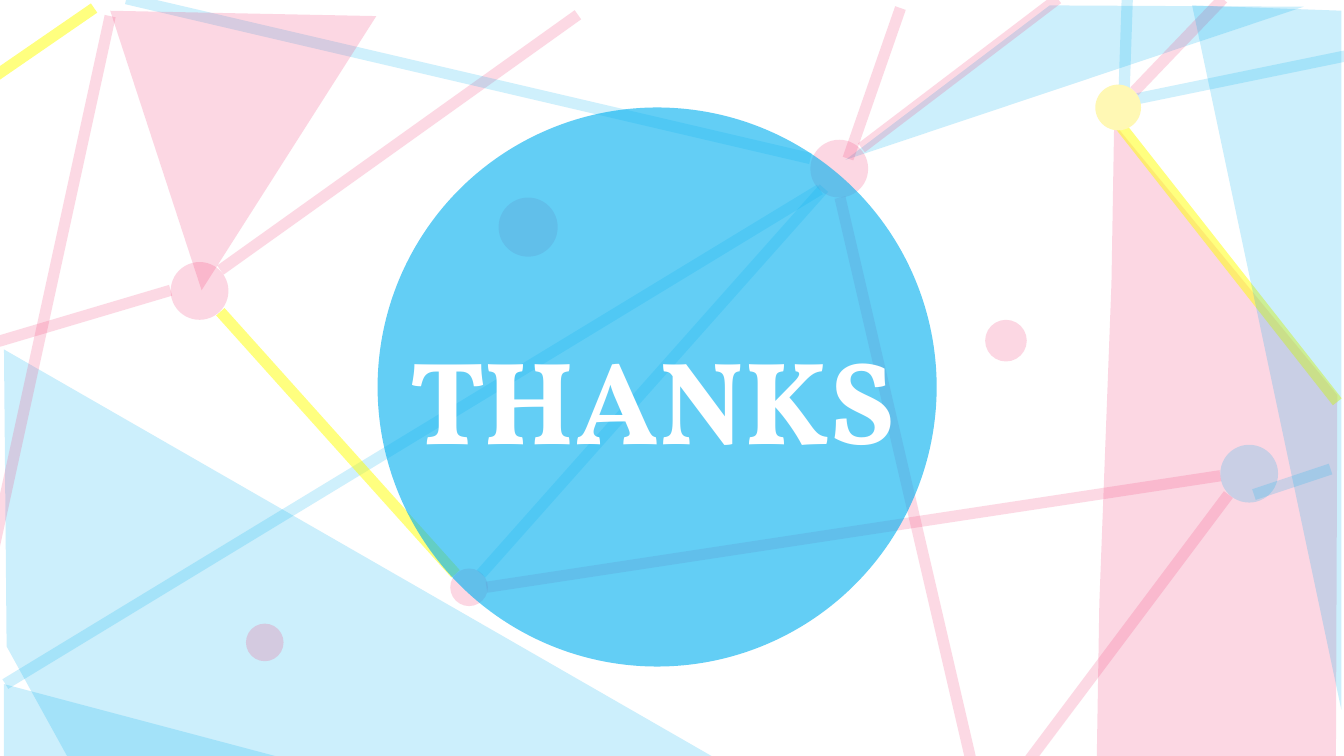
from pptx import Presentation
from pptx.dml.color import RGBColor
from pptx.enum.shapes import MSO_CONNECTOR, MSO_SHAPE
from pptx.enum.text import MSO_ANCHOR, MSO_AUTO_SIZE, PP_ALIGN
from pptx.oxml.xmlchemy import OxmlElement
from pptx.util import Inches, Pt

PINK, BLUE, YELLOW, CREAM, WHITE = "F43A74", "00B0F0", "FFFF00", "FFF8B4", "FFFFFF"
TINT = 20
LINK_OPACITY = {PINK: 18, BLUE: 18, YELLOW: 50}

# Facets: colour and corner points
BACK_FACETS = [
    (PINK, [(8.16, 5.68), (8.18, 4.49), (8.27, 2.11), (8.29, 0.92), (9.95, 2.94), (9.94, 5.69)]),
    (BLUE, [(9.7, 0.05), (6.29, 1.19), (7.81, 0.04)]),
    (BLUE, [(0.05, 4.81), (0.03, 2.6), (5.39, 5.68), (0.53, 5.68)]),
]
FRONT_FACETS = [
    (PINK, [(0.82, 0.08), (2.8, 0.12), (1.5, 2.16)]),
    (BLUE, [(9.98, 5.28), (8.87, 0.04), (9.98, 0.08)]),
    (BLUE, [(0.03, 5.69), (0.03, 5.09), (2.33, 5.7)]),
]
# Dots: colour, left, top, diameter, opacity
BACK_DOTS = [
    (PINK, 6.03, 1.04, 0.43, TINT), (PINK, 7.33, 2.38, 0.31, TINT),
    (BLUE, 9.08, 3.31, 0.43, TINT), (PINK, 1.83, 4.64, 0.28, TINT),
    (PINK, 3.35, 4.23, 0.28, TINT), (PINK, 3.71, 1.47, 0.44, TINT),
]
FRONT_DOTS = [(PINK, 1.27, 1.95, 0.43, TINT), (CREAM, 8.15, 0.63, 0.34, 100)]
# Links: colour, start x and y, end x and y
BACK_LINKS = [
    (BLUE, 0.04, 5.09, 6.1, 1.41), (PINK, 1.64, 2.01, 4.3, 0.11),
    (PINK, -0.01, 2.54, 1.27, 2.16), (PINK, 0.82, 0.12, -0.09, 4.28),
    (YELLOW, 1.64, 2.32, 3.39, 4.27), (BLUE, 6.13, 1.4, 3.58, 4.27),
    (BLUE, 0.94, -0.01, 6.03, 1.18), (PINK, 3.62, 4.37, 9.08, 3.54),
    (PINK, 7.23, 5.68, 6.25, 1.47), (PINK, 7.64, 5.68, 9.14, 3.68),
    (YELLOW, 9.95, 2.99, 8.3, 0.89), (PINK, 6.41, 1.1, 7.87, -0.01),
    (PINK, 6.31, 1.18, 6.7, 0.06), (YELLOW, 0.7, 0.06, -0.07, 0.59),
    (BLUE, 8.39, -0.08, 8.36, 0.8), (BLUE, 10.09, 0.4, 8.24, 0.78),
    (PINK, 9.1, -0.01, 8.44, 0.68),
]
FRONT_LINKS = [(BLUE, 9.9, 3.49, 9.33, 3.68)]


def paint(fill, shape, color, opacity):
    fill.solid()
    fill.fore_color.rgb = RGBColor.from_string(color)
    if opacity < 100:
        for clr in shape.element.spPr.xpath(".//a:srgbClr"):
            alpha = OxmlElement("a:alpha")
            alpha.set("val", str(opacity * 1000))
            clr.append(alpha)


def fill_shape(shape, color, opacity):
    shape.shadow.inherit = False
    paint(shape.fill, shape, color, opacity)
    shape.line.fill.background()


def add_facet(s, color, points):
    start, *rest = [(Inches(x), Inches(y)) for x, y in points]
    builder = s.shapes.build_freeform(*start)
    builder.add_line_segments(rest, close=True)
    fill_shape(builder.convert_to_shape(), color, TINT)


def add_dot(s, color, x, y, size, opacity):
    dot = s.shapes.add_shape(MSO_SHAPE.OVAL, Inches(x), Inches(y), Inches(size), Inches(size))
    fill_shape(dot, color, opacity)


def add_link(s, color, x1, y1, x2, y2):
    link = s.shapes.add_connector(MSO_CONNECTOR.STRAIGHT, *map(Inches, (x1, y1, x2, y2)))
    link.line.width = Pt(6)
    paint(link.line.fill, link, color, LINK_OPACITY[color])
    link.element.spPr.append(OxmlElement("a:effectLst"))


def add_text(tf, text, size, font, color, bold=False, align=PP_ALIGN.CENTER):
    p = tf.paragraphs[0]
    p.alignment = align
    r = p.add_run()
    r.text = text
    r.font.size, r.font.name, r.font.bold = Pt(size), font, bold
    r.font.color.rgb = RGBColor.from_string(color)


def add_network(s, left, top, facets, dots, links):
    """Place one layer of the network from its top left corner."""
    for color, points in facets:
        add_facet(s, color, [(left + x, top + y) for x, y in points])
    for color, x, y, size, opacity in dots:
        add_dot(s, color, left + x, top + y, size, opacity)
    for color, x1, y1, x2, y2 in links:
        add_link(s, color, left + x1, top + y1, left + x2, top + y2)


def add_closing_title(s, left, top, size, text):
    """Place the title across the middle of the disc's box."""
    title = s.shapes.title
    title.left, title.top = Inches(left + 0.06), Inches(top + 1.58)
    title.width, title.height = Inches(size - 0.19), Inches(1.16)
    tf = title.text_frame
    tf.word_wrap = True
    tf.auto_size = MSO_AUTO_SIZE.SHAPE_TO_FIT_TEXT
    tf.vertical_anchor = MSO_ANCHOR.TOP
    add_text(tf, text, size=63, font="Vollkorn", color=WHITE, bold=True)
    # Bring the title to the front
    title.element.getparent().append(title.element)


def main():
    prs = Presentation()
    # Widescreen, 16 to 9
    prs.slide_width = Inches(10)
    prs.slide_height = prs.slide_width * 9 // 16
    s = prs.slides.add_slide(prs.slide_layouts[5])
    disc = (2.81, 0.8, 4.16)

    # Network behind the disc
    add_network(s, 0, 0, BACK_FACETS, BACK_DOTS, BACK_LINKS)
    # Central disc
    add_dot(s, BLUE, *disc, opacity=61)
    # Network in front, then the title
    add_network(s, 0, 0, FRONT_FACETS, FRONT_DOTS, FRONT_LINKS)
    add_closing_title(s, *disc, text="THANKS")
    prs.save("out.pptx")


if __name__ == "__main__":
    main()
